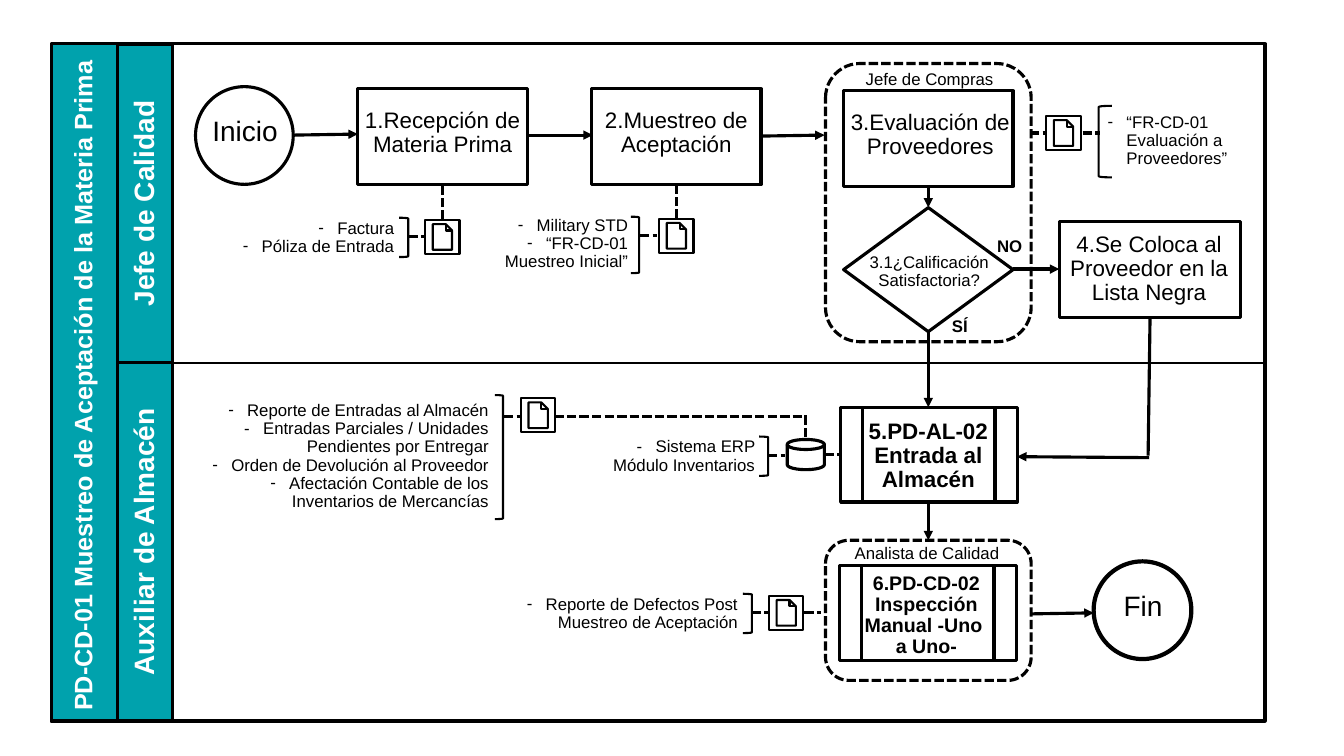
from lxml.etree import SubElement
from pptx import Presentation
from pptx.dml.color import RGBColor
from pptx.enum.dml import MSO_LINE
from pptx.enum.shapes import MSO_CONNECTOR as Link, MSO_SHAPE as Form
from pptx.enum.text import MSO_ANCHOR as Anchor, PP_ALIGN as Align
from pptx.oxml.ns import qn
from pptx.util import Pt

# Content: every length is in points, every box is (left, top, width, height)
TEAL, BLACK, WHITE = "00A2AD", "000000", "FFFFFF"
FRAME = (36.7, 31.2, 866.9, 483.8)
TITLE_WIDTH, LANE_WIDTH, LANE_SPLIT = 47.5, 38.9, 259.2
TITLE = "PD-CD-01 Muestreo de Aceptación de la Materia Prima"
TITLE_BOX = (-189.4, 239, 512, 39.6)
LANES = [  # name, top, bottom, label length
    ("Jefe de Calidad", 31.7, LANE_SPLIT, 172.8),
    ("Auxiliar de Almacén", LANE_SPLIT, 514.8, 208.8),
]
TERMINALS = [("Inicio", 139.7, 61.9, 2.25), ("Fin", 781.2, 401, 3)]
TERMINAL_SIZE = 69.8

PROCESS, SUBPROCESS = Form.FLOWCHART_PROCESS, Form.FLOWCHART_PREDEFINED_PROCESS
STEPS = [  # text lines, form, box, text box, size, bold
    (["1.Recepción de Materia Prima"], PROCESS,
     (255.6, 63.4, 121, 68.4), (247, 74.2, 138.2, 50.4), 16, False),
    (["2.Muestreo de Aceptación"], PROCESS,
     (422.6, 63.4, 121, 68.4), (414, 74.2, 138.2, 50.4), 16, False),
    (["3.Evaluación de Proveedores"], PROCESS,
     (602.6, 64.8, 121, 68.4), (595.4, 75.6, 138.2, 50.4), 16, False),
    (["3.1¿Calificación Satisfactoria?"], Form.FLOWCHART_DECISION,
     (602.6, 148.3, 121, 88.6), (613.4, 177.8, 100.8, 34.6), 12, False),
    (["4.Se Coloca al Proveedor en la Lista Negra"], PROCESS,
     (756.7, 158.4, 129.6, 68.4), (751.7, 162.7, 138.2, 50.4), 16, False),
    (["5.PD-AL-02 Entrada al Almacén"], SUBPROCESS,
     (600.5, 290.9, 126, 67.7), (594, 296.6, 138.2, 50.4), 16, True),
    (["6.PD-CD-02 Inspección Manual -Uno ", "a Uno-"], SUBPROCESS,
     (599.8, 403.9, 126, 67.7), (594, 406.1, 135.4, 50.4), 14, True),
]
GROUPS = [  # role, dashed box, label box
    ("Jefe de Compras", (589.7, 45.4, 146.9, 198.7), (611.3, 47.5, 105.8, 24.5)),
    ("Analista de Calidad", (589.7, 385.9, 146.9, 100.1), (603.4, 385.9, 119.5, 22.3)),
]
BRANCHES = [("NO", (702.7, 166.3, 34.6, 25.2)), ("SÍ", (663.8, 223.9, 34.6, 25.2))]
DOCUMENT, DISK = Form.ACTION_BUTTON_DOCUMENT, Form.FLOWCHART_MAGNETIC_DISK
DOCUMENT_SIZE, DISK_SIZE = (24.5, 24.5), (26.6, 21.6)
RECORDS = [  # items, text box, bracket, icon, icon position, side of the text
    (["Factura", "Póliza de Entrada"], (164.9, 153.4, 123.8, 34.6),
     (285.1, 155.5, 6.5, 28.1), DOCUMENT, (303.8, 157), Align.RIGHT),
    (["Military STD", "“FR-CD-01 Muestreo Inicial”"], (337.7, 151.2, 118.1, 34.6),
     (450.7, 154.8, 5.8, 40.3), DOCUMENT, (470.9, 156.2), Align.RIGHT),
    (["“FR-CD-01 Evaluación a Proveedores”"], (784.1, 77.8, 141.1, 34.6),
     (784.8, 75.6, 9.4, 51.1), DOCUMENT, (747.4, 82.8), Align.LEFT),
    (["Reporte de Entradas al Almacén",
      "Entradas Parciales / Unidades Pendientes por Entregar",
      "Orden de Devolución al Proveedor",
      "Afectación Contable de los Inventarios de Mercancías"],
     (143.3, 283.7, 213.1, 90), (353.5, 282.2, 5.8, 88.6),
     DOCUMENT, (372.2, 284.4), Align.RIGHT),
    (["Sistema ERP Módulo Inventarios"], (414, 309.6, 132.5, 34.6),
     (542.2, 311.8, 6.5, 28.1), DISK, (562.3, 313.9), Align.RIGHT),
    (["Reporte de Defectos Post Muestreo de Aceptación"], (337.7, 421.9, 196.6, 34.6),
     (530.6, 424.1, 6.5, 28.1), DOCUMENT, (549.4, 425.5), Align.RIGHT),
]
ARROWS = [  # from x, y to x, y
    (210.2, 96.5, 255.6, 95.8), (377.3, 96.5, 423.4, 96.5), (543.6, 97.2, 589, 96.5),
    (663.1, 132.5, 663.1, 148.3), (723.6, 192.2, 756.7, 192.2),
    (663.1, 236.9, 663.1, 290.9), (820.8, 326.9, 726.5, 326.2),
    (663.1, 358.6, 663.1, 385.9), (735.8, 438.5, 781.2, 437.8),
]
DASHES = [
    (316.1, 157, 316.1, 131.8), (291.6, 169.2, 303.8, 169.2),
    (483.1, 156.2, 483.1, 131), (457.2, 168.5, 469.4, 168.5),
    (773.3, 95, 785.5, 95), (735.8, 95, 748.1, 95),
    (548.6, 325.4, 560.9, 325.4), (589, 324.7, 601.2, 324.7),
    (575.3, 296.6, 575.3, 313.9), (396, 297.4, 576, 297.4), (360, 297.4, 372.2, 297.4),
    (537.1, 437.8, 549.4, 437.8), (574.6, 437.8, 586.1, 437.8),
]
BLACKLIST_DROP = (821.5, 226.1, 820.1, 325.4)

deck = Presentation()
deck.slide_width, deck.slide_height = Pt(960), Pt(540)
slide = deck.slides.add_slide(deck.slide_layouts[6])


def color(hex_code):
    return RGBColor.from_string(hex_code)


def apply(target, values):
    for name, value in values.items():
        setattr(target, name, value)


def style_line(line, width, dashed=False):
    line.color.rgb = color(BLACK)
    line.width = Pt(width)
    if dashed:
        line.dash_style = MSO_LINE.SQUARE_DOT


def draw(form, box, width=2.25, fill=None, dashed=False, turn=0):
    shape = slide.shapes.add_shape(form, *map(Pt, box))
    shape.shadow.inherit = False
    shape.rotation = turn
    if fill:
        shape.fill.solid()
        shape.fill.fore_color.rgb = color(fill)
    else:
        shape.fill.background()
    style_line(shape.line, width, dashed)


def write(lines, box, size, bold=False, ink=BLACK, align=Align.CENTER,
          bullets=False, turn=0):
    holder = slide.shapes.add_textbox(*map(Pt, box))
    holder.rotation = turn
    frame = holder.text_frame
    apply(frame, {"word_wrap": True, "vertical_anchor": Anchor.TOP})
    for number, line in enumerate(lines):
        paragraph = frame.add_paragraph() if number else frame.paragraphs[0]
        apply(paragraph, {"alignment": align, "line_spacing": 0.9})
        run = paragraph.add_run()
        run.text = line
        apply(run.font, {"name": "Arial", "size": Pt(size), "bold": bold})
        run.font.color.rgb = color(ink)
        if bullets:
            props = paragraph._p.get_or_add_pPr()
            props.set("marL", str(Pt(13.5)))
            props.set("indent", str(-Pt(13.5)))
            SubElement(props, qn("a:buFont")).set("typeface", "Arial")
            SubElement(props, qn("a:buChar")).set("char", "-")


def connect(ends, width=2.25, dashed=False, arrow=False):
    link = slide.shapes.add_connector(Link.STRAIGHT, *map(Pt, ends))
    style_line(link.line, width, dashed)
    if arrow:
        SubElement(link.line._get_or_add_ln(), qn("a:tailEnd")).set("type", "triangle")
    SubElement(link._element.spPr, qn("a:effectLst"))


# Title band, lanes and frame
left, top, frame_width, frame_height = FRAME
lane_left = left + TITLE_WIDTH
draw(Form.RECTANGLE, (left, top, TITLE_WIDTH, frame_height), fill=TEAL)
write([TITLE], TITLE_BOX, 18, True, WHITE, Align.LEFT, turn=270)
for name, lane_top, lane_bottom, length in LANES:
    draw(Form.RECTANGLE, (lane_left, lane_top, LANE_WIDTH, lane_bottom - lane_top),
         fill=TEAL)
    center_x, center_y = lane_left + LANE_WIDTH / 2 + 1.4, (lane_top + lane_bottom) / 2
    write([name], (center_x - length / 2, center_y - 15.85, length, 31.7),
          20, True, WHITE, turn=270)
draw(Form.RECTANGLE, FRAME)
connect((lane_left + LANE_WIDTH / 2, LANE_SPLIT, left + frame_width, LANE_SPLIT), 1)

# Start and end
for name, x, y, outline in TERMINALS:
    draw(Form.OVAL, (x, y, TERMINAL_SIZE, TERMINAL_SIZE), outline)
    write([name], (x, y + 18.7, TERMINAL_SIZE + 0.8, 31.7), 20)

# Role groups and steps
for role, box, label_box in GROUPS:
    draw(Form.ROUNDED_RECTANGLE, box, dashed=True)
    write([role], label_box, 12, align=Align.LEFT)
for lines, form, box, text_box, size, bold in STEPS:
    draw(form, box)
    write(lines, text_box, size, bold)
for answer, box in BRANCHES:
    write([answer], box, 12, True, align=Align.RIGHT)

# Records with bracket and icon
for items, text_box, bracket, icon, spot, side in RECORDS:
    write(items, text_box, 12, align=side, bullets=True)
    draw(Form.LEFT_BRACKET, bracket, 1.5, turn=180 if side == Align.RIGHT else 0)
    if icon == DISK:
        draw(icon, spot + DISK_SIZE)
    else:
        draw(icon, spot + DOCUMENT_SIZE, 1.5)

# Flow
for ends in ARROWS:
    connect(ends, arrow=True)
for ends in DASHES:
    connect(ends, dashed=True)
connect(BLACKLIST_DROP)

deck.save("out.pptx")
